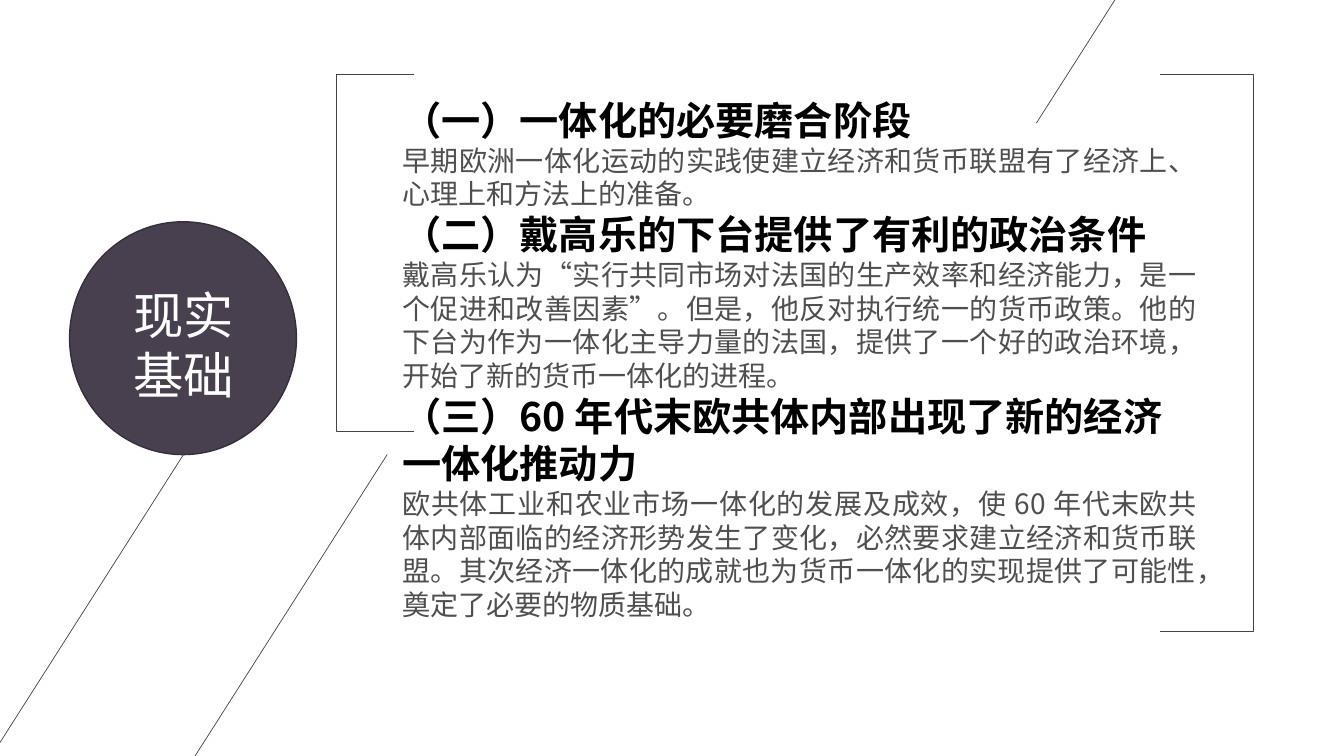
from dataclasses import dataclass

from lxml.etree import SubElement
from pptx import Presentation
from pptx.dml.color import RGBColor
from pptx.enum.shapes import MSO_CONNECTOR, MSO_SHAPE
from pptx.enum.text import MSO_ANCHOR, PP_ALIGN
from pptx.oxml.ns import qn
from pptx.util import Emu, Pt

PX = 9144  # 100 px to the inch
WIDE, HIGH = 1333, 750
PLUM = "49404F"
CJK = "Noto Sans CJK SC"
RUN, FALL = 506, 794  # every diagonal goes this far left and down


@dataclass(frozen=True)
class Box:
    left: int
    top: int
    width: int
    height: int

    def emu(self) -> list[Emu]:
        return [Emu(v * PX) for v in (self.left, self.top, self.width, self.height)]


@dataclass(frozen=True)
class Diagonal:
    """A line given by its upper right end."""
    x: int
    y: int


@dataclass(frozen=True)
class Bracket:
    kind: MSO_SHAPE
    box: Box


@dataclass(frozen=True)
class Point:
    head: str
    body: str


DIAGONALS = [Diagonal(182, 451), Diagonal(384, 451), Diagonal(1534, -672)]
BRACKETS = [
    Bracket(MSO_SHAPE.LEFT_BRACKET, Box(334, 74, 77, 354)),
    Bracket(MSO_SHAPE.RIGHT_BRACKET, Box(1151, 74, 92, 552)),
]
POINTS = [
    Point("（一）一体化的必要磨合阶段",
          "早期欧洲一体化运动的实践使建立经济和货币联盟有了经济上、心理上和方法上的准备。"),
    Point("（二）戴高乐的下台提供了有利的政治条件",
          "戴高乐认为“实行共同市场对法国的生产效率和经济能力，是一个促进和改善因素”。"
          "但是，他反对执行统一的货币政策。他的下台为作为一体化主导力量的法国，"
          "提供了一个好的政治环境，开始了新的货币一体化的进程。"),
    Point("（三）60 年代末欧共体内部出现了新的经济一体化推动力",
          "欧共体工业和农业市场一体化的发展及成效，使 60 年代末欧共体内部面临的经济形势"
          "发生了变化，必然要求建立经济和货币联盟。其次经济一体化的成就也为货币一体化的"
          "实现提供了可能性，奠定了必要的物质基础。"),
]


def color(code: str) -> RGBColor:
    return RGBColor.from_string(code)


def write(para, text: str, *, size: int, pitch: float, ink: str,
          font: str = CJK, bold: bool = False, align=PP_ALIGN.LEFT) -> None:
    para.alignment = align
    para.line_spacing = Pt(pitch)
    para.space_before = para.space_after = Pt(0)
    props = para._p.get_or_add_pPr()
    props.set("marL", "0")
    props.set("indent", "0")
    SubElement(props, qn("a:buNone"))
    run = para.add_run()
    run.text = text
    run.font.size = Pt(size)
    run.font.bold = bold
    run.font.name = font
    run.font.color.rgb = color(ink)
    mark = run.font._element
    mark.set("lang", "zh-CN")
    SubElement(mark, qn("a:ea")).set("typeface", CJK)


def place(holder, box: Box):
    """Move a placeholder and return its wrapped, top-anchored text frame."""
    holder.left, holder.top, holder.width, holder.height = box.emu()
    frame = holder.text_frame
    frame.word_wrap = True
    frame.vertical_anchor = MSO_ANCHOR.TOP
    frame.margin_left = frame.margin_right = Emu(10 * PX)
    frame.margin_top = frame.margin_bottom = Emu(5 * PX)
    return frame


def draw_disc(slide):
    disc = slide.shapes.add_shape(MSO_SHAPE.OVAL, *Box(69, 220, 225, 231).emu())
    disc.shadow.inherit = False
    disc.fill.solid()
    disc.fill.fore_color.rgb = color(PLUM)
    disc.line.color.rgb = color("362F3A")
    disc.line.width = Pt(1)
    return disc


def draw_line(slide, item: Diagonal) -> None:
    ends = [Emu(v * PX) for v in (item.x, item.y, item.x - RUN, item.y + FALL)]
    line = slide.shapes.add_connector(MSO_CONNECTOR.STRAIGHT, *ends)
    line.line.color.rgb = color(PLUM)
    line.line.width = Pt(0.5)
    SubElement(line.element.spPr, qn("a:effectLst"))


def draw_bracket(slide, item: Bracket) -> None:
    shape = slide.shapes.add_shape(item.kind, *item.box.emu())
    shape.adjustments[0] = 0
    shape.shadow.inherit = False
    shape.fill.background()
    shape.line.color.rgb = color(PLUM)
    shape.line.width = Pt(0.5)


def main() -> None:
    deck = Presentation()
    deck.slide_width, deck.slide_height = Emu(WIDE * PX), Emu(HIGH * PX)
    slide = deck.slides.add_slide(deck.slide_layouts[1])
    title, body = slide.shapes.title, slide.placeholders[1]

    title.element.addprevious(draw_disc(slide).element)
    for item in DIAGONALS:
        draw_line(slide, item)
    for item in BRACKETS:
        draw_bracket(slide, item)

    frame = place(title, Box(73, 277, 218, 131))
    for num, text in enumerate(("现实", "基础")):
        para = frame.add_paragraph() if num else frame.paragraphs[0]
        write(para, text, size=36, pitch=43, ink="FFFFFF", font="Arial",
              align=PP_ALIGN.CENTER)

    frame = place(body, Box(389, 90, 808, 535))
    for num, point in enumerate(POINTS):
        para = frame.add_paragraph() if num else frame.paragraphs[0]
        write(para, point.head, size=28, pitch=33.8, ink="000000", bold=True)
        write(frame.add_paragraph(), point.body, size=20, pitch=24, ink="4F4F4F",
              align=PP_ALIGN.JUSTIFY)

    deck.save("out.pptx")


if __name__ == "__main__":
    main()
